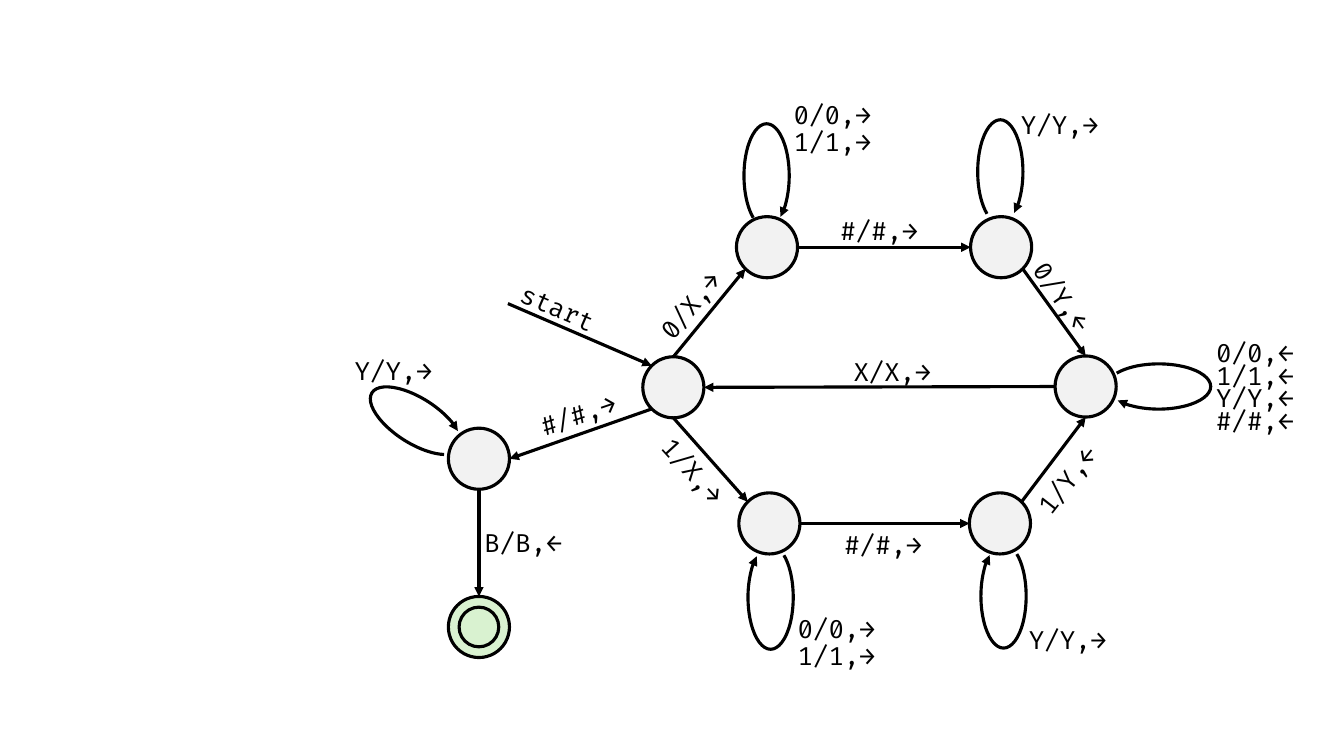
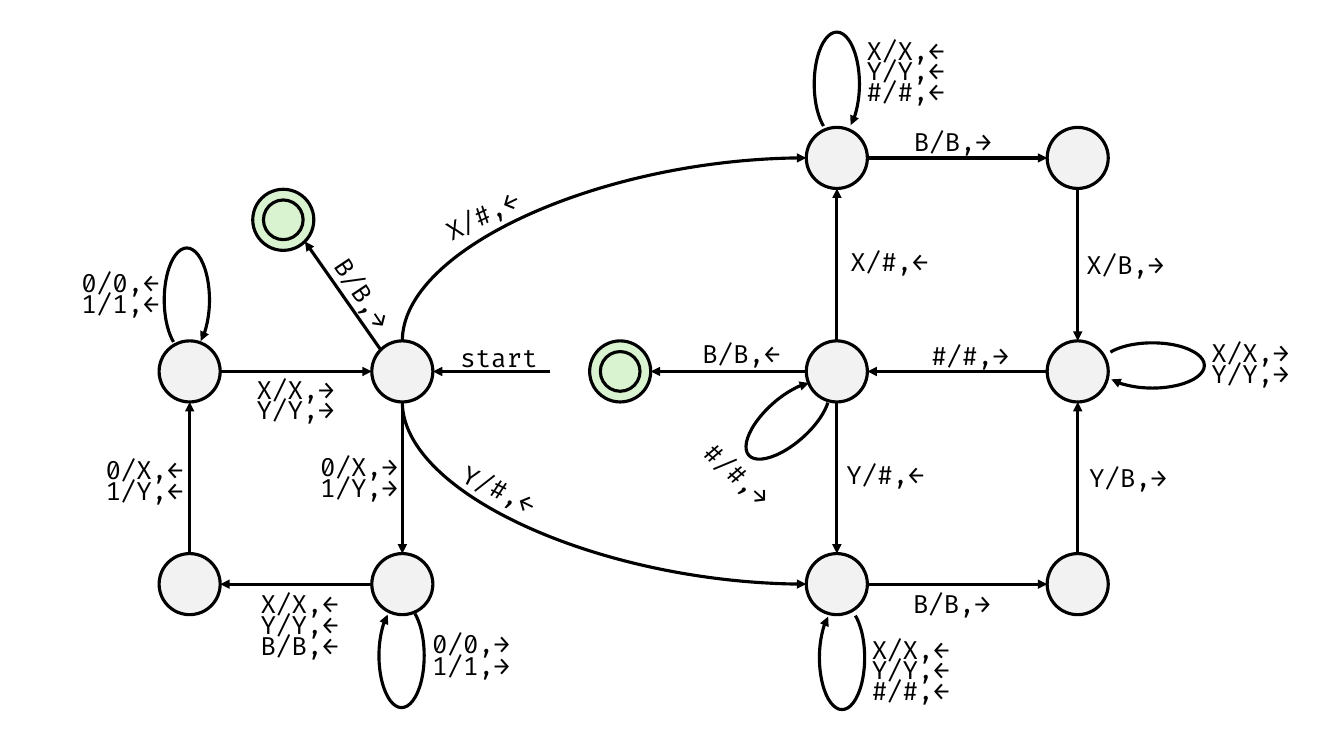
from math import cos, radians, sin

from lxml.etree import SubElement
from pptx import Presentation
from pptx.dml.color import RGBColor
from pptx.enum.shapes import MSO_CONNECTOR, MSO_SHAPE
from pptx.enum.text import MSO_AUTO_SIZE
from pptx.oxml.ns import qn
from pptx.util import Cm, Pt

INK = "000000"
STATE_FILL = "F2F2F2"
ACCEPT_FILL = "D9F2D0"
FONT = "Fira Code"
STATE_SIZE = 1.54
RING_SIZE = 1.0
LOOP_WIDTH, LOOP_HEIGHT = 1.14, 2.62
LABEL_WIDTH, LABEL_HEIGHT = 2.51, 1.02
SITES = ["top", "top left", "left", "bottom left",
         "bottom", "bottom right", "right", "top right"]

LEFT, HUB, MIDDLE, RIGHT = 4.78, 10.14, 21.09, 27.16
UPPER, CENTER, LOWER = 3.98, 9.36, 14.72

comparer = {
    "states": {
        "hub": (16.97, 9.76),
        "skip 0": (19.33, 6.23),
        "find 0": (25.23, 6.23),
        "skip 1": (19.39, 13.19),
        "find 1": (25.2, 13.19),
        "rewind": (27.36, 9.74),
        "check": (12.07, 11.56),
    },
    "accepting": {"accept": (12.07, 15.8)},
    "start": (12.8, 7.65, "top left"),
    "edges": [
        ("hub", "top", "skip 0", "bottom left"),
        ("skip 0", "right", "find 0", "left"),
        ("find 0", "bottom right", "rewind", "top"),
        ("hub", "bottom", "skip 1", "top left"),
        ("skip 1", "right", "find 1", "left"),
        ("find 1", "top right", "rewind", "bottom"),
        ("rewind", "left", "hub", "right"),
        ("hub", "bottom left", "check", "right"),
        ("check", "bottom", "accept", "top"),
    ],
    "curves": [],
    "loops": [
        (19.32, 4.43, 0),
        (25.21, 4.33, 0),
        (10.48, 10.6, 302.5),
        (25.29, 15.02, 180),
        (29.2, 9.74, 90),
        (19.42, 15.05, 180),
    ],
    "labels": [
        (12.83, 7.26, 23.6, 0, "start"),
        (16.15, 7.16, 309.2, 0, "0/X,→"),
        (16.23, 11.38, 47.8, 0, "1/X,→"),
        (13.34, 9.93, 341.2, 0, "#/#,→"),
        (20.93, 5.31, 0, 0, "#/#,→"),
        (21.03, 13.21, 0, 0, "#/#,→"),
        (25.53, 6.99, 54.7, 0, "0/Y,←"),
        (25.65, 11.56, 308, 0, "1/Y,←"),
        (21.26, 8.86, 0, 0, "X/X,→"),
        (30.4, 8.38, 0, 0.57, "0/0,← 1/1,← Y/Y,← #/#,←"),
        (11.96, 13.16, 0, 0, "B/B,←"),
        (19.85, 15.34, 0, 0.66, "0/0,→ 1/1,→"),
        (19.75, 2.39, 0, 0.66, "0/0,→ 1/1,→"),
        (25.68, 15.6, 0, 0, "Y/Y,→"),
        (25.48, 2.62, 0, 0, "Y/Y,→"),
        (8.69, 8.84, 0, 0, "Y/Y,→"),
    ],
}

eraser = {
    "states": {
        "hub": (HUB, CENTER),
        "mark": (HUB, LOWER),
        "turn": (LEFT, LOWER),
        "return": (LEFT, CENTER),
        "middle": (MIDDLE, CENTER),
        "upper middle": (MIDDLE, UPPER),
        "lower middle": (MIDDLE, LOWER),
        "right": (RIGHT, CENTER),
        "upper right": (RIGHT, UPPER),
        "lower right": (RIGHT, LOWER),
    },
    "accepting": {"empty": (7.14, 5.54), "done": (15.63, CENTER)},
    "start": (13.87, CENTER, "right"),
    "edges": [
        ("hub", "top left", "empty", "bottom right"),
        ("hub", "bottom", "mark", "top"),
        ("mark", "left", "turn", "right"),
        ("turn", "top", "return", "bottom"),
        ("return", "right", "hub", "left"),
        ("upper middle", "right", "upper right", "left"),
        ("upper right", "bottom", "right", "top"),
        ("lower middle", "right", "lower right", "left"),
        ("lower right", "top", "right", "bottom"),
        ("right", "left", "middle", "right"),
        ("middle", "left", "done", "right"),
        ("middle", "top", "upper middle", "bottom"),
        ("middle", "bottom", "lower middle", "top"),
    ],
    "curves": [
        ("hub", "bottom", "lower middle", "left"),
        ("hub", "top", "upper middle", "left"),
    ],
    "loops": [
        (21.09, 2.12, 0),
        (4.71, 7.56, 0),
        (10.12, 16.52, 180),
        (21.22, 16.57, 180),
        (29.04, 9.21, 90),
        (19.85, 10.6, 228.3),
    ],
    "labels": [
        (11.35, 8.51, 0, 0, "start"),
        (7.9, 6.91, 56.2, 0, "B/B,→"),
        (7.82, 11.25, 0, 0.53, "0/X,→ 1/Y,→"),
        (6.32, 14.71, 0, 0.52, "X/X,← Y/Y,← B/B,←"),
        (2.41, 11.33, 0, 0.53, "0/X,← 1/Y,←"),
        (6.22, 9.3, 0, 0.52, "X/X,→ Y/Y,→"),
        (10.64, 15.72, 0, 0.53, "0/0,→ 1/1,→"),
        (1.8, 6.6, 0, 0.53, "0/0,← 1/1,←"),
        (10.92, 4.9, 334.1, 0, "X/#,←"),
        (11.35, 11.84, 26.1, 0, "Y/#,←"),
        (21.18, 6.07, 0, 0, "X/#,←"),
        (21.08, 11.46, 0, 0, "Y/#,←"),
        (17.45, 8.41, 0, 0, "B/B,←"),
        (21.59, 0.76, 0, 0.52, "X/X,← Y/Y,← #/#,←"),
        (21.72, 15.85, 0, 0.52, "X/X,← Y/Y,← #/#,←"),
        (22.78, 3.07, 0, 0, "B/B,→"),
        (22.76, 14.71, 0, 0, "B/B,→"),
        (27.13, 6.17, 0, 0, "X/B,→"),
        (27.2, 11.53, 0, 0, "Y/B,→"),
        (30.28, 8.38, 0, 0.53, "X/X,→ Y/Y,→"),
        (23.22, 8.46, 0, 0, "#/#,→"),
        (17.35, 11.46, 41.5, 0, "#/#,→"),
    ],
}


def paint(fill, color):
    fill.solid()
    fill.fore_color.rgb = RGBColor.from_string(color)


def draw_line(shape, arrow):
    paint(shape.line.fill, INK)
    shape.line.width = Pt(2.25)
    if arrow:
        outline = shape.element.spPr.find(qn("a:ln"))
        SubElement(outline, qn("a:tailEnd"), type="triangle")


deck = Presentation()
deck.slide_width = Cm(33.87)
deck.slide_height = Cm(19.05)

for machine in (comparer, eraser):
    page = deck.slides.add_slide(deck.slide_layouts[6])
    circles = {}
    centers = machine["states"] | machine["accepting"]

    for name, (x, y) in centers.items():
        accepting = name in machine["accepting"]
        parent = page.shapes.add_group_shape() if accepting else page
        sizes = (STATE_SIZE, RING_SIZE) if accepting else (STATE_SIZE,)
        for size in sizes:
            circle = parent.shapes.add_shape(
                MSO_SHAPE.OVAL, Cm(x - size / 2), Cm(y - size / 2), Cm(size), Cm(size))
            circle.shadow.inherit = False
            paint(circle.fill, ACCEPT_FILL if accepting else STATE_FILL)
            draw_line(circle, arrow=False)
            circles.setdefault(name, circle)

    start_x, start_y, start_site = machine["start"]
    edges = [(None, None, "hub", start_site)] + machine["edges"] + machine["curves"]
    for edge in edges:
        points = []
        glue = []
        for tag, name, site in (("a:stCxn", *edge[:2]), ("a:endCxn", *edge[2:])):
            if name is None:
                points.append((start_x, start_y))
                continue
            index = SITES.index(site)
            angle = radians(45 * index)
            x, y = centers[name]
            points.append((x - STATE_SIZE / 2 * sin(angle), y - STATE_SIZE / 2 * cos(angle)))
            glue.append((tag, circles[name].shape_id, index))

        (x1, y1), (x2, y2) = points
        curved = edge in machine["curves"]
        downward = y2 > y1
        if curved:
            middle_x, middle_y = (x1 + x2) / 2, (y1 + y2) / 2
            half_width = abs(y2 - y1) / 2
            half_height = (x2 - x1) / 2 * (1 if downward else -1)
            x1, x2 = middle_x + half_width, middle_x - half_width
            y1, y2 = middle_y - half_height, middle_y + half_height
        connector = page.shapes.add_connector(
            MSO_CONNECTOR.CURVE if curved else MSO_CONNECTOR.STRAIGHT,
            Cm(x1), Cm(y1), Cm(x2), Cm(y2))
        properties = connector.element.spPr
        if curved:
            connector.rotation = 270 if downward else 90
            properties.find(qn("a:prstGeom")).set("prst", "curvedConnector2")
        draw_line(connector, arrow=True)
        SubElement(properties, qn("a:effectLst"))
        links = connector.element.find(".//" + qn("p:cNvCxnSpPr"))
        for tag, shape_id, index in glue:
            SubElement(links, qn(tag), id=str(shape_id), idx=str(index))

    for x, y, rotation in machine["loops"]:
        loop = page.shapes.add_shape(
            MSO_SHAPE.ARC, Cm(x - LOOP_WIDTH / 2), Cm(y - LOOP_HEIGHT / 2),
            Cm(LOOP_WIDTH), Cm(LOOP_HEIGHT))
        loop.adjustments[0] = 64.56
        loop.adjustments[1] = 42.78
        loop.rotation = rotation
        loop.shadow.inherit = False
        loop.fill.background()
        draw_line(loop, arrow=True)

    for x, y, rotation, pitch, text in machine["labels"]:
        for row, symbol in enumerate(text.split()):
            box = page.shapes.add_textbox(
                Cm(x), Cm(y + row * pitch), Cm(LABEL_WIDTH), Cm(LABEL_HEIGHT))
            box.rotation = rotation
            box.text_frame.word_wrap = False
            box.text_frame.auto_size = MSO_AUTO_SIZE.SHAPE_TO_FIT_TEXT
            para = box.text_frame.paragraphs[0]
            para.text = symbol
            para.font.name = FONT
            para.font.size = Pt(18)
            paint(para.font.fill, INK)

deck.save("out.pptx")
